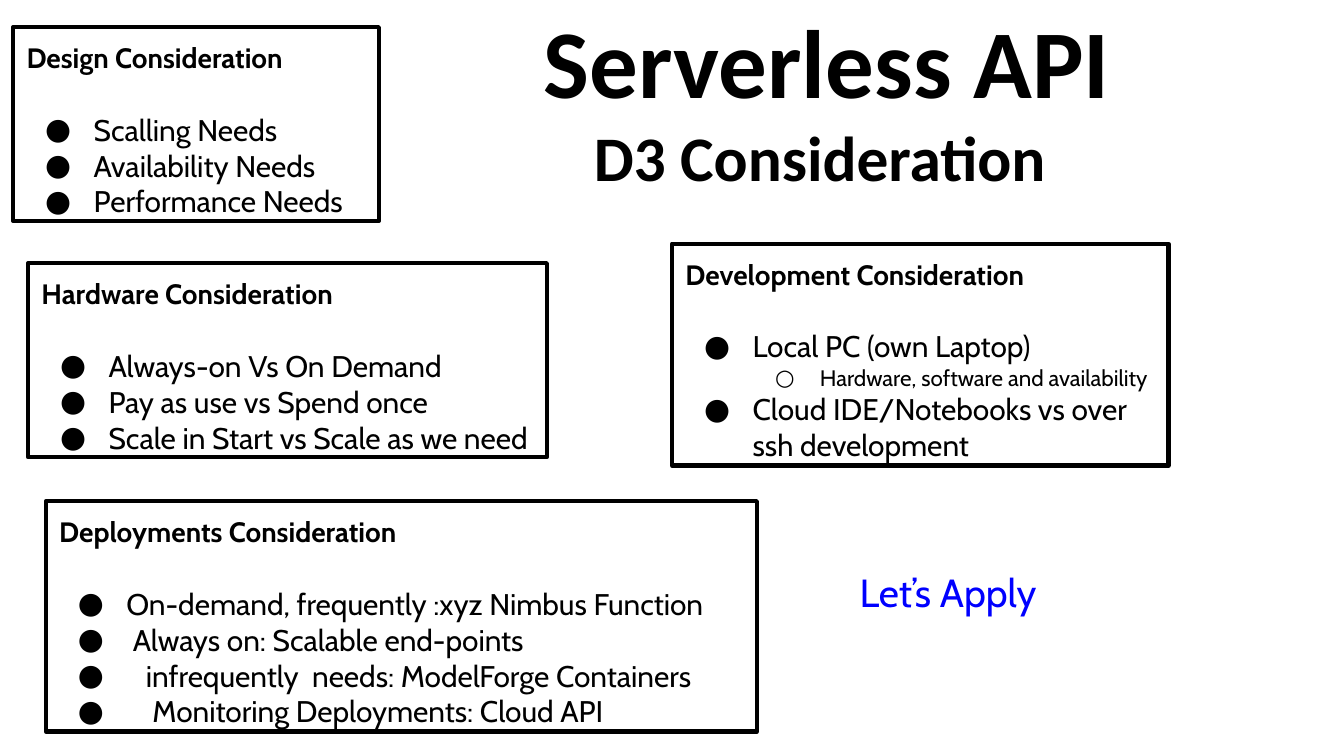
"""Build the slide of considerations for a serverless API."""
from dataclasses import dataclass

from lxml.etree import SubElement
from pptx import Presentation
from pptx.dml.color import RGBColor
from pptx.enum.text import MSO_ANCHOR, MSO_AUTO_SIZE, PP_ALIGN
from pptx.oxml.ns import qn
from pptx.util import Pt

BLACK = RGBColor(0x00, 0x00, 0x00)
WHITE = RGBColor(0xFF, 0xFF, 0xFF)
BLUE = RGBColor(0x00, 0x00, 0xFF)
TITLE_FONT = "Calibri"
BODY_FONT = "Cabin"
PARAGRAPH_GAP = 20


@dataclass(frozen=True)
class Item:
    text: str
    level: int = 0
    extra_indent: float = 0


@dataclass(frozen=True)
class Box:
    left: float
    top: float
    width: float
    height: float
    heading: str
    items: tuple[Item, ...]


@dataclass(frozen=True)
class LevelStyle:
    bullet: str
    size: float
    margin: float
    hanging: float


LEVELS = (LevelStyle("●", 16, 36, 26), LevelStyle("○", 12, 72, 24))

BOXES = (
    Box(15, 141, 278, 111, "Hardware Consideration", (
        Item("Always-on Vs On Demand"),
        Item("Pay as use vs Spend once"),
        Item("Scale in Start vs Scale as we need"),
    )),
    Box(7, 14.5, 196, 111, "Design Consideration", (
        Item("Scalling Needs"),
        Item("Availability Needs"),
        Item("Performance Needs"),
    )),
    Box(360, 130.5, 266, 126, "Development Consideration", (
        Item("Local PC (own Laptop)"),
        Item("Hardware, software and availability", level=1),
        Item("Cloud IDE/Notebooks vs over ssh development"),
    )),
    Box(24.5, 268.5, 381, 130.5, "Deployments Consideration", (
        Item("On-demand, frequently :xyz Nimbus Function"),
        Item("Always on: Scalable end-points", extra_indent=3.5),
        Item("infrequently  needs: ModelForge Containers", extra_indent=10.5),
        Item("Monitoring Deployments: Cloud API", extra_indent=14),
    )),
)


def place(shape, left: float, top: float, width: float, height: float) -> None:
    """Move and size a shape, in points."""
    shape.left, shape.top = Pt(left), Pt(top)
    shape.width, shape.height = Pt(width), Pt(height)


def prepare_frame(frame, vertical_inset: float, anchor: MSO_ANCHOR, auto_size: MSO_AUTO_SIZE) -> None:
    """Set the insets, wrapping, anchor and fitting of a text frame."""
    frame.margin_left = frame.margin_right = Pt(7.2)
    frame.margin_top = frame.margin_bottom = Pt(vertical_inset)
    frame.word_wrap = True
    frame.vertical_anchor = anchor
    frame.auto_size = auto_size


def write(frame, text: str, *, size: float, font: str = BODY_FONT, color: RGBColor = BLACK,
          bold: bool = False, align: PP_ALIGN = PP_ALIGN.LEFT, space_before: float = 0,
          level: int = 0, margin: float = 0, hanging: float = 0, bullet: str = "") -> None:
    """Write one formatted paragraph, filling the first one while it is empty."""
    paragraph = frame.paragraphs[0] if not frame.text else frame.add_paragraph()
    paragraph.alignment = align
    paragraph.level = level
    paragraph.space_before = Pt(space_before)
    paragraph.space_after = Pt(0)
    run = paragraph.add_run()
    run.text = text
    run.font.name = font
    run.font.size = Pt(size)
    run.font.bold = bold
    run.font.color.rgb = color
    properties = paragraph._p.get_or_add_pPr()
    properties.set("marL", str(Pt(margin)))
    properties.set("indent", str(-Pt(hanging)))
    if bullet:
        bullet_color = SubElement(properties, qn("a:buClr"))
        SubElement(bullet_color, qn("a:srgbClr"), val=str(BLACK))
        SubElement(properties, qn("a:buFont"), typeface=BODY_FONT)
        SubElement(properties, qn("a:buChar"), char=bullet)
    else:
        SubElement(properties, qn("a:buNone"))


def draw_title(title) -> None:
    """Fill the title placeholder with its two lines."""
    place(title, 209, 6.5, 468, 101)
    frame = title.text_frame
    prepare_frame(frame, 3.6, MSO_ANCHOR.BOTTOM, MSO_AUTO_SIZE.NONE)
    for text, size in (("Serverless API", 52), ("D3 Consideration ", 34)):
        write(frame, text, size=size, font=TITLE_FONT, bold=True, align=PP_ALIGN.CENTER)


def draw_box(placeholder, box: Box) -> None:
    """Turn a body placeholder into an outlined box with a heading and a list."""
    place(placeholder, box.left, box.top, box.width, box.height)
    placeholder.line.color.rgb = BLACK
    placeholder.line.width = Pt(2.25)
    frame = placeholder.text_frame
    prepare_frame(frame, 7.2, MSO_ANCHOR.TOP, MSO_AUTO_SIZE.SHAPE_TO_FIT_TEXT)
    write(frame, box.heading, size=15, bold=True, space_before=PARAGRAPH_GAP)
    for index, item in enumerate(box.items):
        style = LEVELS[item.level]
        write(frame, item.text, size=style.size, level=item.level, bullet=style.bullet,
              margin=style.margin + item.extra_indent,
              hanging=style.hanging + item.extra_indent,
              space_before=0 if index else PARAGRAPH_GAP)


def draw_call_to_action(slide) -> None:
    """Add the closing line of text."""
    text_box = slide.shapes.add_textbox(Pt(453.5), Pt(297.5), Pt(172), Pt(40))
    prepare_frame(text_box.text_frame, 7.2, MSO_ANCHOR.TOP, MSO_AUTO_SIZE.SHAPE_TO_FIT_TEXT)
    write(text_box.text_frame, "Let’s Apply", size=21, color=BLUE)


def main() -> None:
    """Build and save the presentation."""
    presentation = Presentation()
    presentation.slide_width, presentation.slide_height = Pt(720), Pt(405)
    comparison_layout = presentation.slide_layouts[4]
    slide = presentation.slides.add_slide(comparison_layout)
    slide.background.fill.solid()
    slide.background.fill.fore_color.rgb = WHITE
    title, *bodies = slide.placeholders
    draw_title(title)
    for placeholder, box in zip(bodies, BOXES):
        draw_box(placeholder, box)
    draw_call_to_action(slide)
    presentation.save("out.pptx")


if __name__ == "__main__":
    main()
